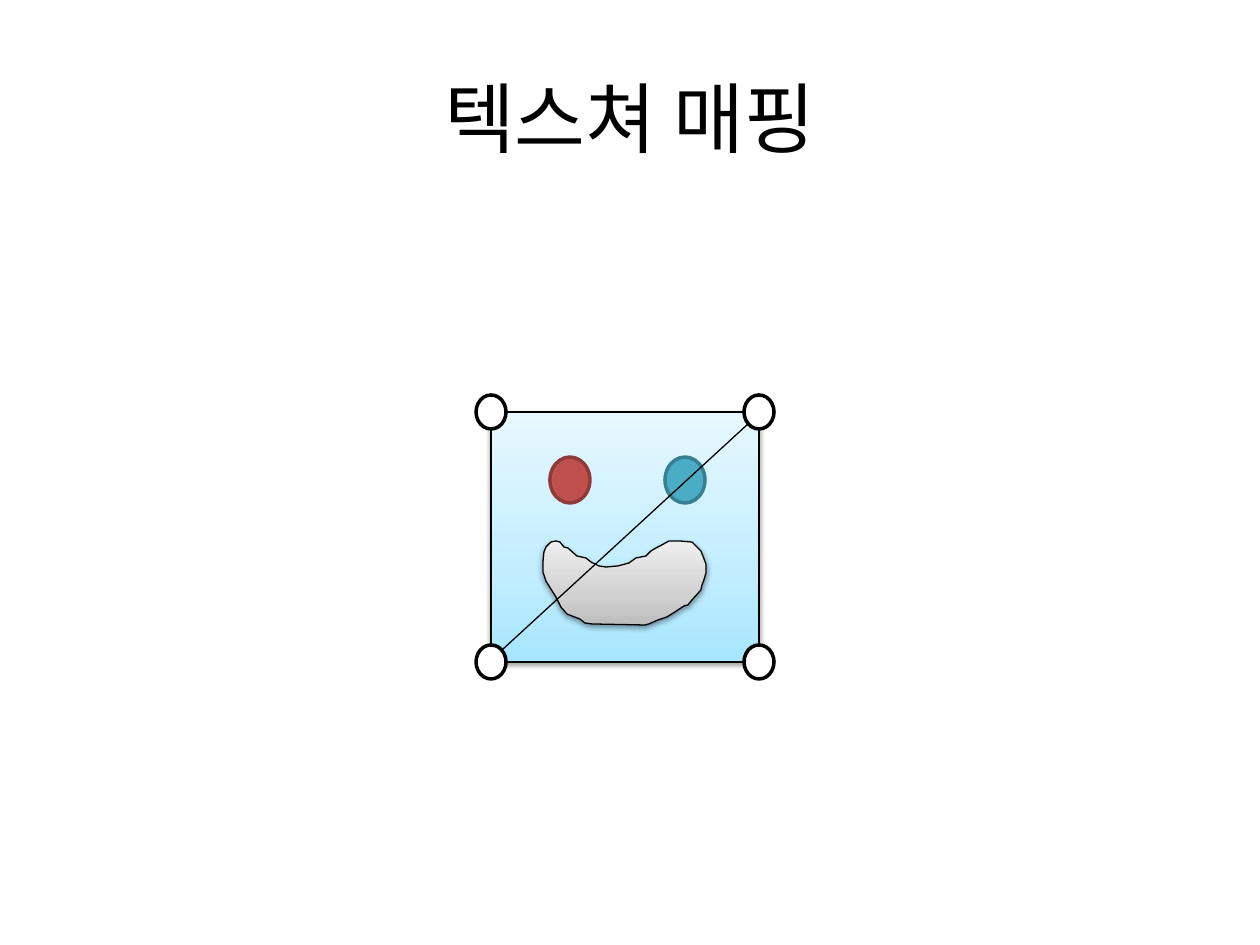
from copy import deepcopy
from dataclasses import dataclass
from itertools import product

from lxml.etree import SubElement
from pptx import Presentation
from pptx.dml.color import RGBColor as RGB
from pptx.enum.shapes import MSO_CONNECTOR as Connector, MSO_SHAPE as Preset
from pptx.enum.text import MSO_ANCHOR as Anchor, PP_ALIGN as Align
from pptx.oxml.ns import qn
from pptx.util import Emu, Pt

PX = 914400 / 126


@dataclass(frozen=True)
class Theme:
    font: str = "Noto Sans CJK KR"
    title_size: int = 44
    ink: str = "000000"
    paper: str = "FFFFFF"
    face: tuple = ("A7E6FF", "C1EDFF", "E7F8FF")
    face_edge: str = "46AAC5"
    mouth: tuple = ("BDBDBD", "D1D1D1", "EEEEEE")
    red_eye: tuple = ("C0504D", "8E3B39")
    blue_eye: tuple = ("4BACC6", "377F92")
    thin: float = 0.75
    thick: float = 2


def px(*lengths):
    return [Emu(round(length * PX)) for length in lengths]


def write(frame, text, *, font, size, color, align=Align.CENTER, anchor=Anchor.MIDDLE):
    frame.word_wrap = True
    frame.vertical_anchor = anchor
    paragraph = frame.paragraphs[0]
    paragraph.alignment = align
    run = paragraph.add_run()
    run.text = text
    run.font.name = font
    run.font.size = Pt(size)
    run.font.color.rgb = RGB.from_string(color)
    SubElement(run.font._element, qn("a:ea"), typeface=font)


class Canvas:
    def __init__(self, slide, theme):
        self.slide = slide
        self.theme = theme

    def title(self, text, box):
        frame = self.slide.shapes.add_textbox(*px(*box)).text_frame
        write(frame, text, font=self.theme.font, size=self.theme.title_size,
              color=self.theme.ink)

    def outline(self, item, color, width):
        item.line.color.rgb = RGB.from_string(color)
        item.line.width = Pt(width)

    def preset(self, parent, kind, box):
        return parent.shapes.add_shape(kind, *px(*box))

    def ellipse(self, parent, box, fill, edge):
        oval = self.preset(parent, Preset.OVAL, box)
        oval.shadow.inherit = False
        oval.fill.solid()
        oval.fill.fore_color.rgb = RGB.from_string(fill)
        self.outline(oval, edge, self.theme.thick)

    def glossy(self, item, colors, edge):
        item.fill.gradient()
        item.fill.gradient_angle = 90
        properties = item._element.spPr
        stop_list = properties.find(f".//{qn('a:gsLst')}")
        stop_list.insert(1, deepcopy(stop_list[0]))
        for stop, color, position in zip(item.fill.gradient_stops, colors, (0, 0.35, 1)):
            stop.color.rgb = RGB.from_string(color)
            stop.position = position
        self.outline(item, edge, self.theme.thin)
        item.shadow.inherit = False
        shadow = SubElement(properties.find(qn("a:effectLst")), qn("a:outerShdw"),
                            blurRad="40000", dist="20000", dir="5400000", rotWithShape="0")
        tint = SubElement(shadow, qn("a:srgbClr"), val=self.theme.ink)
        SubElement(tint, qn("a:alpha"), val="38000")

    def square(self, parent, box, colors, edge):
        self.glossy(self.preset(parent, Preset.RECTANGLE, box), colors, edge)

    def freeform(self, parent, points, colors, edge):
        builder = parent.shapes.build_freeform(*points[0], scale=PX)
        builder.add_line_segments(points[1:], close=True)
        self.glossy(builder.convert_to_shape(), colors, edge)

    def line(self, start, end):
        edge = self.slide.shapes.add_connector(Connector.STRAIGHT, *px(*start, *end))
        self.outline(edge, self.theme.ink, self.theme.thin)
        SubElement(edge._element.spPr, qn("a:effectLst"))


MOUTH = [
    (556, 597), (546, 581), (543, 572), (543, 562), (544, 552), (546, 547),
    (551, 542), (556, 541), (560, 542), (564, 547), (568, 548), (577, 556),
    (586, 558), (591, 562), (599, 566), (606, 567), (618, 566), (629, 563),
    (636, 558), (646, 556), (651, 551), (656, 548), (660, 546), (669, 541),
    (680, 541), (692, 542), (697, 547), (701, 551), (703, 556), (706, 564),
    (706, 573), (704, 580), (702, 585), (701, 590), (692, 600), (688, 605),
    (684, 606), (675, 612), (667, 617), (658, 620), (649, 624), (645, 625),
    (592, 624), (585, 623), (580, 619), (572, 616), (567, 614), (561, 607),
]


def main():
    theme = Theme()
    deck = Presentation()
    deck.slide_width, deck.slide_height = px(1260, 945)
    slide = deck.slides.add_slide(deck.slide_layouts[6])
    canvas = Canvas(slide, theme)

    left, right, top, bottom = 491, 759, 412, 662
    node_width, node_height = 30, 34
    reach_x, reach_y = node_width // 2, node_height // 2

    texture = slide.shapes.add_group_shape()
    canvas.square(texture, (left, top, right - left, bottom - top),
                  theme.face, theme.face_edge)
    for eye_left, colors in ((550, theme.red_eye), (665, theme.blue_eye)):
        canvas.ellipse(texture, (eye_left, 457, 40, 46), *colors)
    canvas.freeform(texture, MOUTH, theme.mouth, theme.ink)

    canvas.title("텍스쳐 매핑", (63, 38, 1134, 158))

    for y, x in product((top, bottom), (left, right)):
        canvas.ellipse(slide, (x - reach_x, y - reach_y, node_width, node_height),
                       theme.paper, theme.ink)
    for x in (left, right):
        canvas.line((x, top + reach_y), (x, bottom - reach_y))
    for y in (top, bottom):
        canvas.line((left + reach_x, y), (right - reach_x, y))
    canvas.line((left + 11, bottom - 12), (right - 11, top + 12))

    deck.save("out.pptx")


if __name__ == "__main__":
    main()
